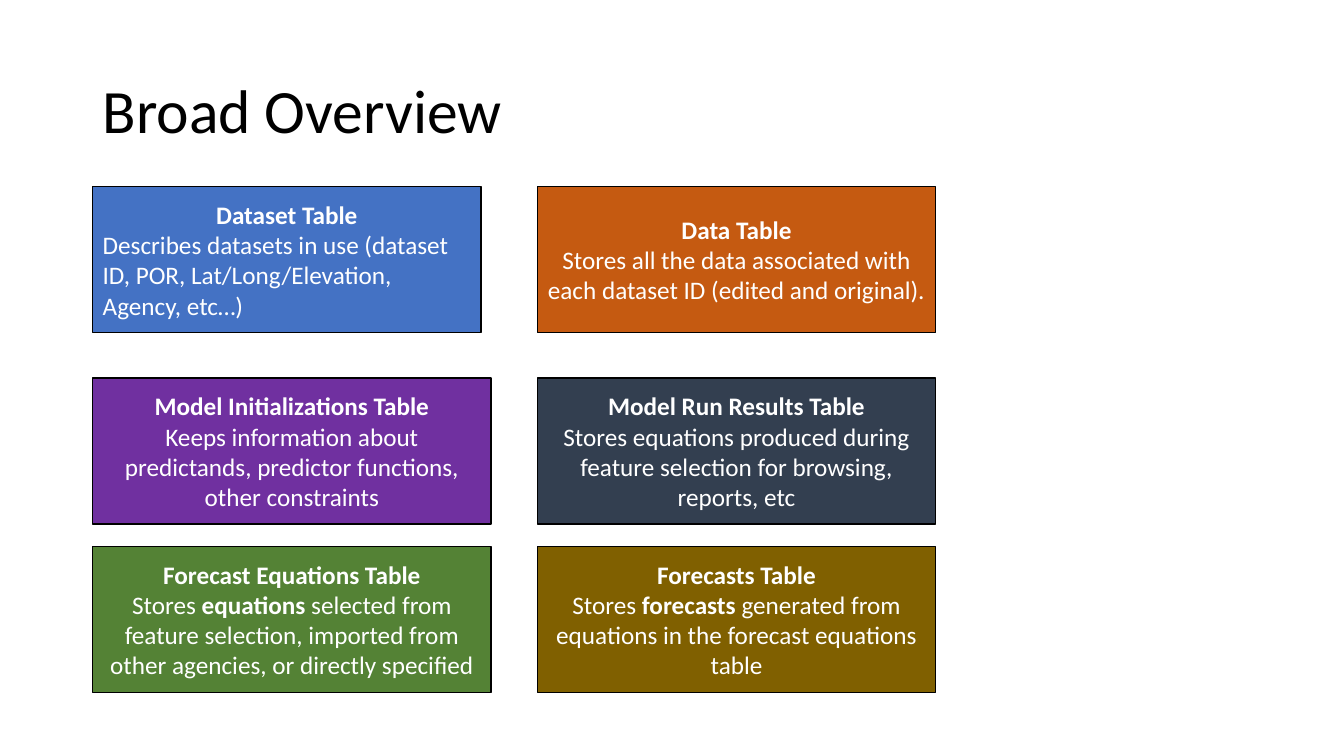
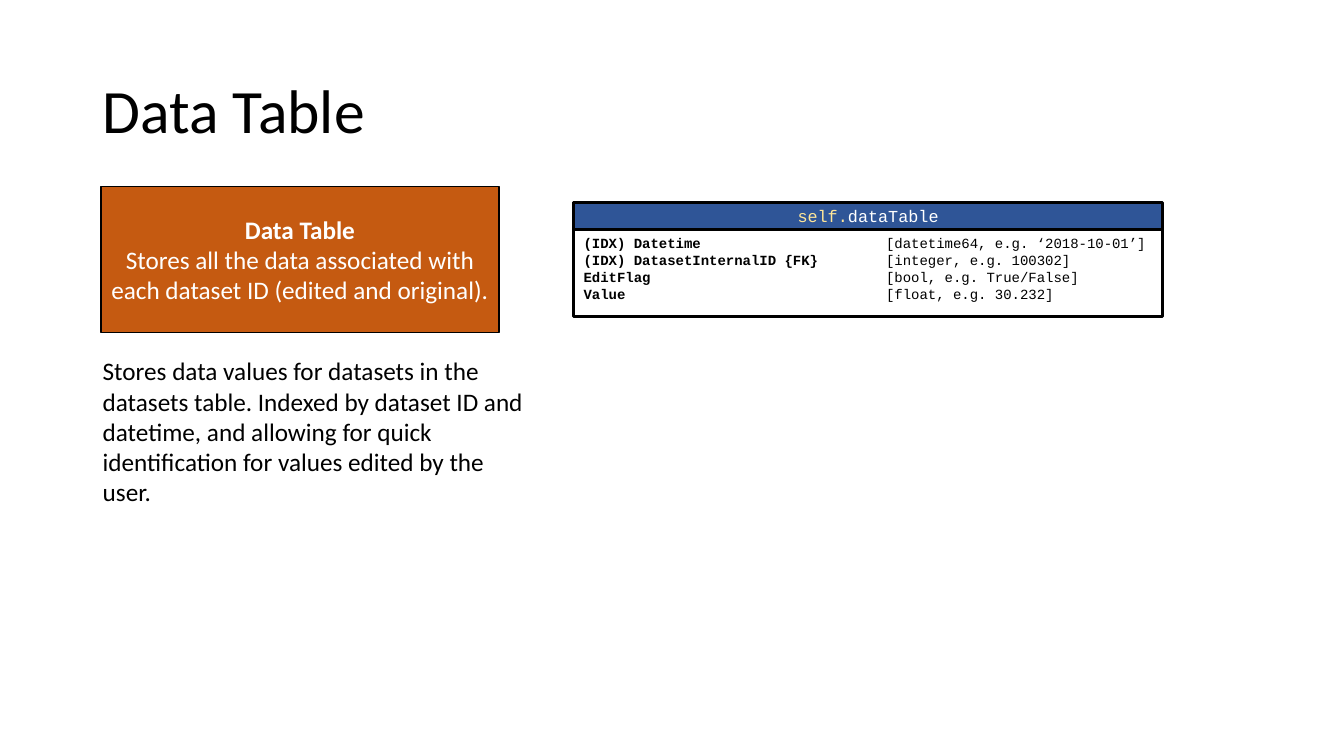
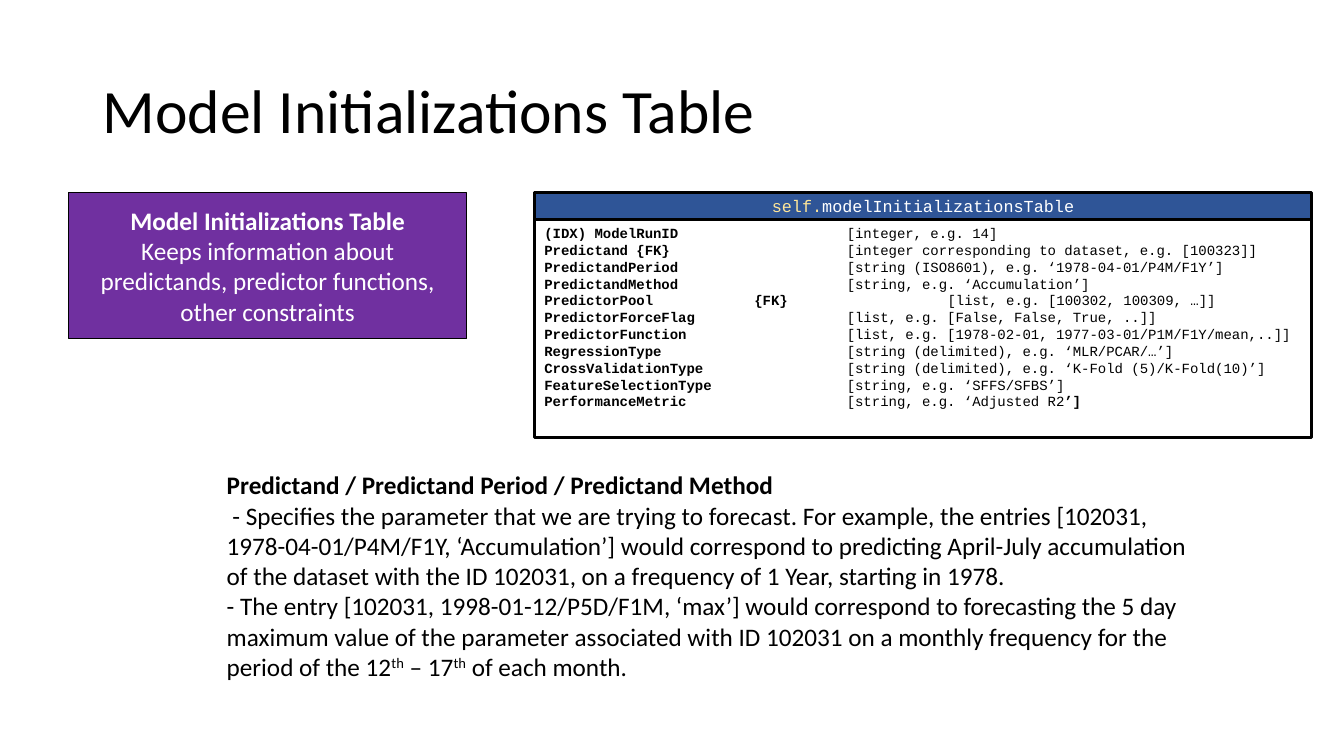
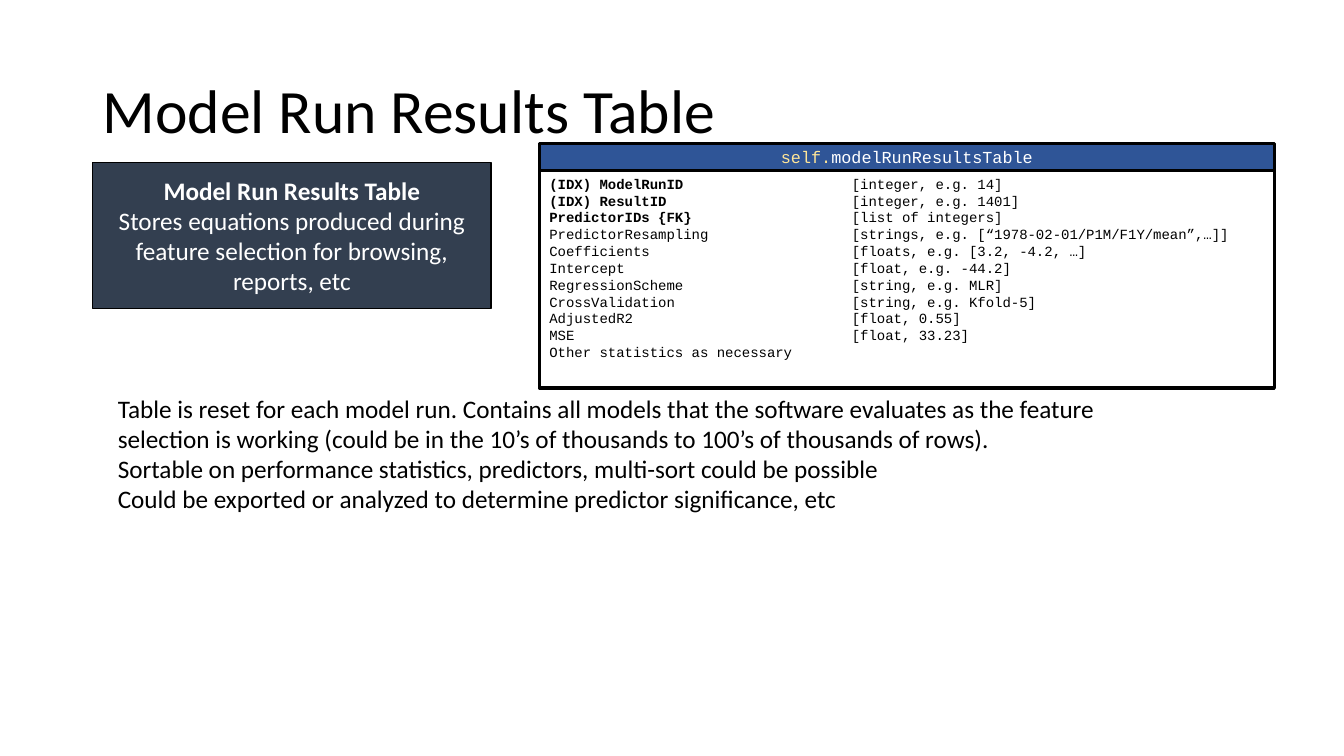
from pptx import Presentation
from pptx.dml.color import RGBColor
from pptx.enum import shapes, text
from pptx.util import Inches, Pt
from lxml import etree

BLACK = RGBColor(0x00, 0x00, 0x00)
WHITE = RGBColor(0xFF, 0xFF, 0xFF)
BLUE = RGBColor(0x44, 0x72, 0xC4)
RUST = RGBColor(0xC5, 0x5A, 0x11)
PURPLE = RGBColor(0x70, 0x30, 0xA0)
SLATE = RGBColor(0x33, 0x3F, 0x50)
GREEN = RGBColor(0x54, 0x82, 0x35)
OLIVE = RGBColor(0x80, 0x60, 0x00)
NAVY = RGBColor(0x2F, 0x55, 0x97)
CREAM = RGBColor(0xFF, 0xE6, 0x99)

SANS, MONO = "Calibri", "Courier New"
LEFT, CENTER = text.PP_ALIGN.LEFT, text.PP_ALIGN.CENTER
TOP, MIDDLE = text.MSO_ANCHOR.TOP, text.MSO_ANCHOR.MIDDLE

# In all wording, *...* is bold and ^...^ is superscript.
# Card: name -> fill, description
CARDS = {
    "Dataset Table": (BLUE, "Describes datasets in use (dataset ID, POR, "
                            "Lat/Long/Elevation, Agency, etc…)"),
    "Data Table": (RUST, "Stores all the data associated with each dataset ID "
                         "(edited and original)."),
    "Model Initializations Table": (
        PURPLE, "Keeps information about predictands, predictor functions, "
                "other constraints"),
    "Model Run Results Table": (
        SLATE, "Stores equations produced during feature selection for "
               "browsing, reports, etc"),
    "Forecast Equations Table": (
        GREEN, "Stores *equations* selected from feature selection, imported "
               "from other agencies, or directly specified"),
    "Forecasts Table": (OLIVE, "Stores *forecasts* generated from equations "
                               "in the forecast equations table"),
}
COLS, ROWS = (0.92, 5.33), (1.85, 3.75, 5.42)
CARD_W, CARD_H = 3.95, 1.45
HEAD_H = 0.27

# Detail slide: card place, schema (name, left, top, width, height, fields),
# note (left, top, width, height, lines)
DETAILS = [
    {
        "title": "Data Table",
        "card": (1, 1.85),
        "schema": ("dataTable", 5.69, 2.01, 5.84, 1.13, [
            "*(IDX) Datetime*\t[datetime64, e.g. ‘2018-10-01’]",
            "*(IDX) DatasetInternalID {FK}*\t[integer, e.g. 100302]",
            "*EditFlag*\t[bool, e.g. True/False]",
            "*Value*\t[float, e.g. 30.232]",
        ]),
        "note": (0.92, 3.48, 4.38, 1.62, [
            "Stores data values for datasets in the datasets table. Indexed "
            "by dataset ID and datetime, and allowing for quick "
            "identification for values edited by the user.",
        ]),
    },
    {
        "title": "Model Initializations Table",
        "card": (0.68, 1.91),
        "schema": ("modelInitializationsTable", 5.3, 1.91, 7.71, 2.43, [
            "*(IDX) ModelRunID*\t[integer, e.g. 14]",
            "*Predictand {FK}*\t[integer corresponding to dataset, "
            "e.g. [100323]]",
            "*PredictandPeriod*\t[string (ISO8601), "
            "e.g. ‘1978-04-01/P4M/F1Y’]",
            "*PredictandMethod*\t[string, e.g. ‘Accumulation’]",
            "*PredictorPool\t {FK}*\t[list, e.g. [100302, 100309, …]]",
            "*PredictorForceFlag*\t[list, e.g. [False, False, True, ..]]",
            "*PredictorFunction*\t[list, e.g. [1978-02-01, "
            "1977-03-01/P1M/F1Y/mean,..]]",
            "*RegressionType*\t[string (delimited), e.g. ‘MLR/PCAR/…’]",
            "*CrossValidationType*\t[string (delimited), "
            "e.g. ‘K-Fold (5)/K-Fold(10)’]",
            "*FeatureSelectionType*\t[string, e.g. ‘SFFS/SFBS’]",
            "*PerformanceMetric*\t[string, e.g. ‘Adjusted R2*’]*",
        ]),
        "note": (2.15, 4.61, 9.78, 2.22, [
            "*Predictand / Predictand Period / Predictand Method*",
            " - Specifies the parameter that we are trying to forecast. For "
            "example, the entries [102031, 1978-04-01/P4M/F1Y, "
            "‘Accumulation’] would correspond to predicting April-July "
            "accumulation of the dataset with the ID 102031, on a frequency "
            "of 1 Year, starting in 1978.",
            "- The entry [102031, 1998-01-12/P5D/F1M, ‘max’] would correspond "
            "to forecasting the 5 day maximum value of the parameter "
            "associated with ID 102031 on a monthly frequency for the period "
            "of the 12^th^ – 17^th^ of each month.",
        ]),
    },
    {
        "title": "Model Run Results Table",
        "card": (0.92, 1.61),
        "schema": ("modelRunResultsTable", 5.35, 1.42, 7.29, 2.43, [
            "*(IDX) ModelRunID*\t[integer, e.g. 14]",
            "*(IDX) ResultID*\t[integer, e.g. 1401]",
            "*PredictorIDs {FK}*\t[list of integers]",
            "PredictorResampling\t[strings, "
            "e.g. [“1978-02-01/P1M/F1Y/mean”,…]]",
            "Coefficients\t[floats, e.g. [3.2, -4.2, …]",
            "Intercept\t[float, e.g. -44.2]",
            "RegressionScheme\t[string, e.g. MLR]",
            "CrossValidation\t[string, e.g. Kfold-5]",
            "AdjustedR2\t[float, 0.55]",
            "MSE\t[float, 33.23]",
            "Other statistics as necessary",
        ]),
        "note": (1.07, 3.85, 10.04, 1.92, [
            "Table is reset for each model run. Contains all models that the "
            "software evaluates as the feature selection is working (could be "
            "in the 10’s of thousands to 100’s of thousands of rows).",
            "Sortable on performance statistics, predictors, multi-sort could "
            "be possible",
            "Could be exported or analyzed to determine predictor "
            "significance, etc",
        ]),
    },
]


def add_run(para, words, size, font, color, bold=False):
    """Add one styled run and return it."""
    run = para.add_run()
    run.text = words
    style = run.font
    style.size, style.name, style.bold = Pt(size), font, bold
    style.color.rgb = color
    return run


def add_line(para, line, size, font, color, align=LEFT):
    """Write one marked-up line into a paragraph."""
    para.alignment = align
    for i, part in enumerate(line.split("*")):
        for j, words in enumerate(part.split("^")):
            if words:
                run = add_run(para, words, size, font, color, i % 2 == 1)
                if j % 2:
                    run.font._element.set("baseline", "30000")


def get_paras(frame, count):
    """Return the frame's first paragraph and as many more as needed."""
    return [frame.paragraphs[0]] + [frame.add_paragraph()
                                    for _ in range(count - 1)]


def set_tabs(para, stops):
    """Set left tab stops, in inches, on a paragraph."""
    props = para._p.get_or_add_pPr()
    space = "{http://schemas.openxmlformats.org/drawingml/2006/main}"
    tabs = etree.SubElement(props, space + "tabLst")
    for stop in stops:
        etree.SubElement(tabs, space + "tab", pos=str(Inches(stop)), algn="l")


def add_box(parent, place, fill, weight, anchor=MIDDLE):
    """Draw a black-edged rectangle and return its text frame."""
    box = parent.add_shape(shapes.MSO_SHAPE.RECTANGLE, *map(Inches, place))
    box.shadow.inherit = False
    box.fill.solid()
    box.fill.fore_color.rgb = fill
    box.line.color.rgb = BLACK
    box.line.width = Pt(weight)
    frame = box.text_frame
    frame.word_wrap, frame.vertical_anchor = True, anchor
    return frame


def add_text(slide, place, lines, size, anchor=TOP):
    """Add a wrapped text box and return its paragraphs."""
    frame = slide.shapes.add_textbox(*map(Inches, place)).text_frame
    frame.word_wrap, frame.vertical_anchor = True, anchor
    paras = get_paras(frame, len(lines))
    for para, line in zip(paras, lines):
        add_line(para, line, size, SANS, BLACK)
    return paras


def add_slide(deck, title):
    """Add a blank slide with the shared title style."""
    slide = deck.slides.add_slide(deck.slide_layouts[6])
    paras = add_text(slide, (0.92, 0.4, 11.5, 1.45), [title], 44, MIDDLE)
    paras[0].line_spacing = 0.9
    return slide


def add_card(slide, name, left, top, width=CARD_W, align=CENTER):
    """Draw the coloured summary card of one table."""
    fill, about = CARDS[name]
    frame = add_box(slide.shapes, (left, top, width, CARD_H), fill, 1)
    head, body = get_paras(frame, 2)
    add_line(head, f"*{name}*", 18, SANS, WHITE, CENTER)
    add_line(body, about, 18, SANS, WHITE, align)


def add_schema(slide, name, left, top, width, height, fields):
    """Draw a grouped field list under its header bar."""
    group = slide.shapes.add_group_shape().shapes
    place = (left, top + HEAD_H, width, height - HEAD_H)
    frame = add_box(group, place, WHITE, 2.25, TOP)
    for para, field in zip(get_paras(frame, len(fields)), fields):
        add_line(para, field, 10, MONO, BLACK)
        set_tabs(para, (2, 4) if field.count("\t") > 1 else (3,))
    frame = add_box(group, (left, top, width, HEAD_H), NAVY, 2.25)
    head = frame.paragraphs[0]
    head.alignment = CENTER
    add_run(head, "self.", 12, MONO, CREAM)
    add_run(head, name, 12, MONO, WHITE)


def add_overview(deck):
    """Build the grid of all cards."""
    slide = add_slide(deck, "Broad Overview")
    for i, name in enumerate(CARDS):
        look = (3.85, LEFT) if i == 0 else (CARD_W, CENTER)
        add_card(slide, name, COLS[i % 2], ROWS[i // 2], *look)


def add_detail(deck, item):
    """Build the slide that explains one table."""
    slide = add_slide(deck, item["title"])
    add_card(slide, item["title"], *item["card"])
    add_schema(slide, *item["schema"])
    *place, lines = item["note"]
    add_text(slide, place, lines, 18)


deck = Presentation()
deck.slide_width, deck.slide_height = Inches(13.33), Inches(7.5)
add_overview(deck)
for item in DETAILS:
    add_detail(deck, item)
deck.save("out.pptx")
